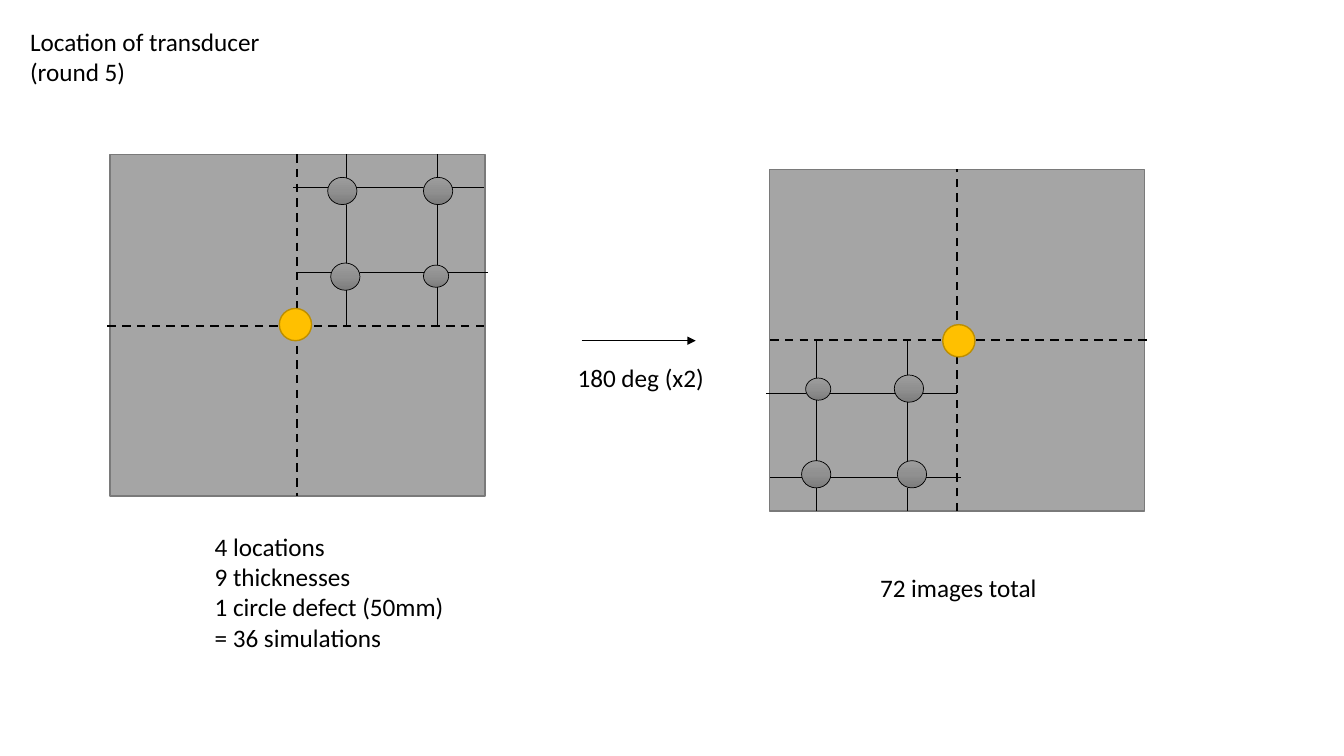
from typing import NamedTuple

from lxml.etree import SubElement
from pptx import Presentation
from pptx.dml.color import RGBColor
from pptx.enum.dml import MSO_LINE
from pptx.enum.shapes import MSO_CONNECTOR, MSO_SHAPE
from pptx.enum.text import MSO_AUTO_SIZE
from pptx.oxml import parse_xml
from pptx.oxml.ns import nsdecls, qn
from pptx.shapes.autoshape import Shape
from pptx.shapes.connector import Connector
from pptx.shapes.group import GroupShape
from pptx.slide import Slide
from pptx.util import Inches, Pt

BLACK = RGBColor(0x00, 0x00, 0x00)
PLATE_FILL = RGBColor(0xA5, 0xA5, 0xA5)
PLATE_EDGE = RGBColor(0x7A, 0x7A, 0x7A)
TRANSDUCER_FILL = RGBColor(0xFF, 0xC0, 0x00)
TRANSDUCER_EDGE = RGBColor(0xBD, 0x8E, 0x00)
DEFECT_STOPS = (
    (0, RGBColor(0x9D, 0x9D, 0x9D)),
    (50, RGBColor(0x90, 0x90, 0x90)),
    (100, RGBColor(0x7C, 0x7C, 0x7C)),
)


class Box(NamedTuple):
    left: float
    top: float
    width: float
    height: float


class Segment(NamedTuple):
    start_x: float
    start_y: float
    end_x: float
    end_y: float


class Label(NamedTuple):
    box: Box
    lines: tuple[str, ...]


PLATE = Box(1.09, 1.53, 3.72, 3.39)
TRANSDUCER = Box(2.77, 3.06, 0.32, 0.32)
AXES = (Segment(2.95, 1.53, 2.95, 4.92), Segment(4.8, 3.23, 1.02, 3.23))
GRID_LINES = (
    Segment(2.91, 1.86, 4.8, 1.86),
    Segment(2.95, 2.7, 4.84, 2.7),
    Segment(3.44, 1.53, 3.44, 3.23),
    Segment(4.34, 1.53, 4.34, 3.23),
)
DEFECTS = (
    Box(4.2, 1.76, 0.29, 0.27),
    Box(3.28, 2.61, 0.29, 0.27),
    Box(3.25, 1.76, 0.29, 0.27),
    Box(4.2, 2.63, 0.25, 0.22),
)
ROTATION_ARROW = Segment(5.77, 3.38, 6.9, 3.38)
LABELS = (
    Label(Box(0.2, 0.21, 2.89, 0.71), ("Location of transducer", "(round 5)")),
    Label(
        Box(2.03, 5.22, 2.5, 1.31),
        ("4 locations", "9 thicknesses", "1 circle defect (50mm)", "= 36 simulations"),
    ),
    Label(Box(5.63, 3.55, 1.5, 0.4), ("180 deg (x2)",)),
    Label(Box(8.63, 5.63, 2.07, 0.4), ("72 images total",)),
)


def add_outlined_shape(
    group: GroupShape, kind: MSO_SHAPE, box: Box, edge: RGBColor, weight: float
) -> Shape:
    shape = group.shapes.add_shape(kind, *map(Inches, box))
    shape.shadow.inherit = False
    shape.line.color.rgb = edge
    shape.line.width = Pt(weight)
    return shape


def add_solid_shape(
    group: GroupShape, kind: MSO_SHAPE, box: Box, fill: RGBColor, edge: RGBColor
) -> None:
    shape = add_outlined_shape(group, kind, box, edge, 1)
    shape.fill.solid()
    shape.fill.fore_color.rgb = fill


def add_defect(group: GroupShape, box: Box) -> None:
    shape = add_outlined_shape(group, MSO_SHAPE.OVAL, box, BLACK, 0.5)
    stops = "".join(
        f'<a:gs pos="{position * 1000}"><a:srgbClr val="{color}"/></a:gs>'
        for position, color in DEFECT_STOPS
    )
    gradient = parse_xml(
        f'<a:gradFill {nsdecls("a")} rotWithShape="1"><a:gsLst>{stops}</a:gsLst>'
        '<a:lin ang="5400000" scaled="0"/></a:gradFill>'
    )
    shape.element.spPr.find(qn("a:prstGeom")).addnext(gradient)


def add_line(parent: Slide | GroupShape, segment: Segment, weight: float) -> Connector:
    connector = parent.shapes.add_connector(
        MSO_CONNECTOR.STRAIGHT, *map(Inches, segment)
    )
    connector.line.color.rgb = BLACK
    connector.line.width = Pt(weight)
    SubElement(connector.element.spPr, qn("a:effectLst"))
    return connector


def add_plate(slide: Slide) -> GroupShape:
    group = slide.shapes.add_group_shape()
    add_solid_shape(group, MSO_SHAPE.RECTANGLE, PLATE, PLATE_FILL, PLATE_EDGE)
    for axis in AXES:
        add_line(group, axis, 1.5).line.dash_style = MSO_LINE.DASH
    for grid_line in GRID_LINES:
        add_line(group, grid_line, 0.5)
    for defect in DEFECTS:
        add_defect(group, defect)
    add_solid_shape(group, MSO_SHAPE.OVAL, TRANSDUCER, TRANSDUCER_FILL, TRANSDUCER_EDGE)
    return group


def add_label(slide: Slide, label: Label) -> None:
    text_frame = slide.shapes.add_textbox(*map(Inches, label.box)).text_frame
    text_frame.word_wrap = True
    text_frame.auto_size = MSO_AUTO_SIZE.SHAPE_TO_FIT_TEXT
    for index, line in enumerate(label.lines):
        paragraph = text_frame.add_paragraph() if index else text_frame.paragraphs[0]
        run = paragraph.add_run()
        run.text = line
        run.font.name = "Calibri"
        run.font.size = Pt(18)
        run.font.color.rgb = BLACK


def main() -> None:
    presentation = Presentation()
    presentation.slide_width = Inches(13.33)
    presentation.slide_height = Inches(7.5)
    slide = presentation.slides.add_slide(presentation.slide_layouts[6])

    add_plate(slide)
    rotated_plate = add_plate(slide)
    rotated_plate.left = Inches(7.6)
    rotated_plate.top = Inches(1.68)
    rotated_plate.rotation = 180

    arrow = add_line(slide, ROTATION_ARROW, 0.5)
    SubElement(arrow.line._get_or_add_ln(), qn("a:tailEnd"), type="triangle")
    for label in LABELS:
        add_label(slide, label)

    presentation.save("out.pptx")


if __name__ == "__main__":
    main()
